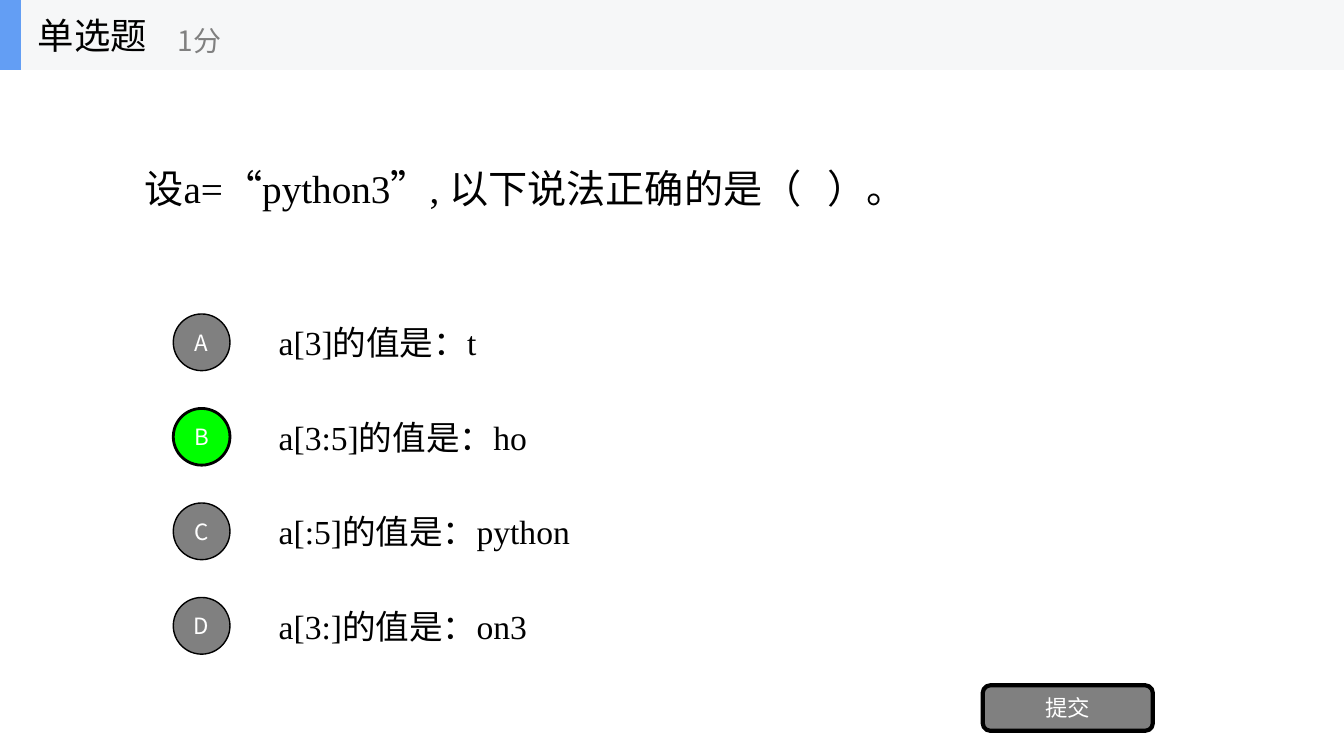
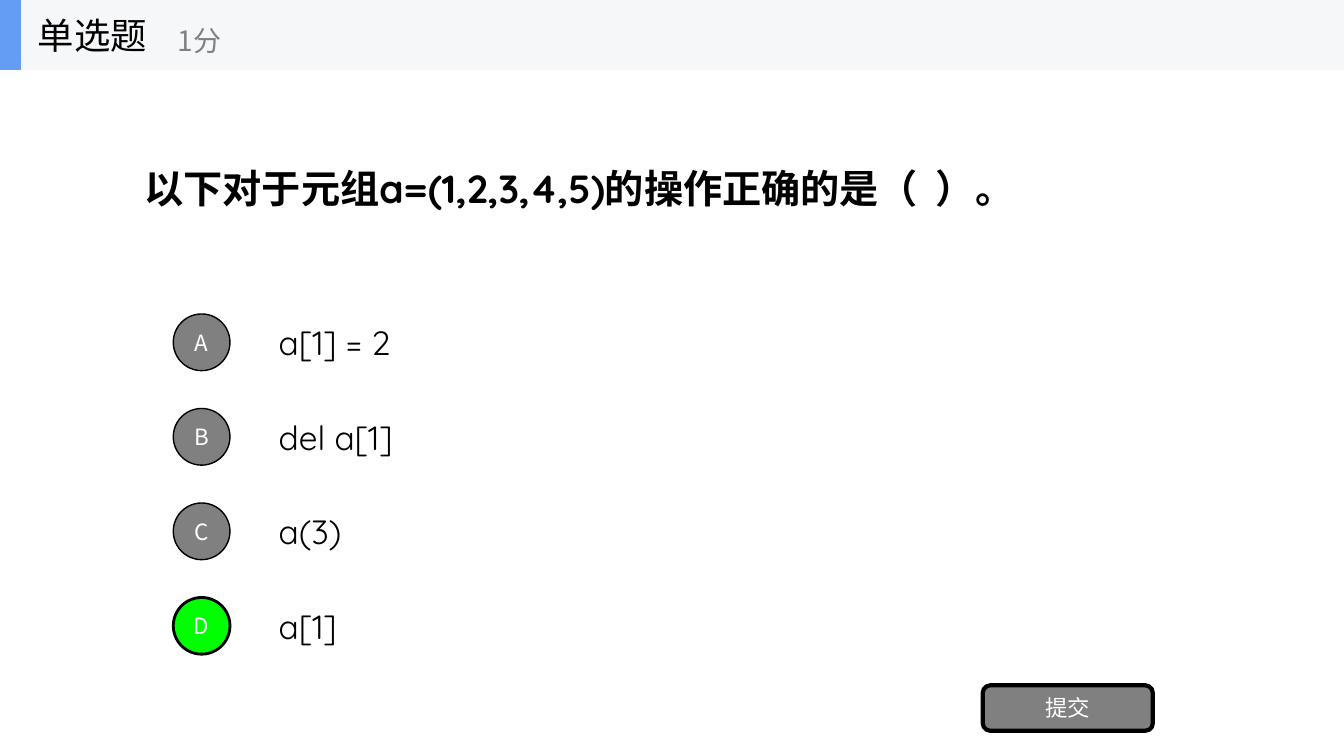
import pptx
import pptx.util
import pptx.dml.color
import pptx.enum.shapes
import pptx.enum.text
import pptx.oxml.ns
import lxml.etree
from dataclasses import dataclass

# Content
KIND, SCORE, SUBMIT = "单选题", "1分", "提交"
QUIZ = [
    {
        "ask": "设a=“python3”, 以下说法正确的是（   ）。",
        "picks": ["a[3]的值是：t", "a[3:5]的值是：ho",
                  "a[:5]的值是：python", "a[3:]的值是：on3"],
        "key": "B", "font": "Times New Roman", "bold": False,
    },
    {
        "ask": "以下对于元组a=(1,2,3,4,5)的操作正确的是（  ）。",
        "picks": ["a[1] = 2", "del a[1]", "a(3)", "a[1]"],
        "key": "D", "font": "Quicksand", "bold": True,
    },
]


# Theme
@dataclass(frozen=True)
class Theme:
    ink: str = "000000"
    white: str = "FFFFFF"
    gray: str = "808080"
    green: str = "00FF00"
    band: str = "F6F7F8"
    blue: str = "639EF4"
    font: str = "Noto Sans CJK SC"
    ask: int = 28
    head: int = 26
    pick: int = 24
    score: int = 20
    mark: int = 16


look = Theme()
Pt = pptx.util.Pt
Kind = pptx.enum.shapes.MSO_SHAPE
Align = pptx.enum.text.PP_ALIGN

# Layout in points
WIDE, HIGH = 960, 540
BAND = 50
FIRST, STEP = 244.5, 67.5     # centre of the first option, gap between centres
DOT, ROW = 40.5, 50


def tint(name):
    return pptx.dml.color.RGBColor.from_string(name)


def write(shape, text, size, color, font=look.font, bold=False,
          align=Align.LEFT):
    frame = shape.text_frame
    frame.word_wrap = True
    frame.auto_size = pptx.enum.text.MSO_AUTO_SIZE.NONE
    frame.vertical_anchor = pptx.enum.text.MSO_ANCHOR.MIDDLE
    para = frame.paragraphs[0]
    para.alignment = align
    run = para.add_run()
    run.text = text
    run.font.size = Pt(size)
    run.font.bold = bold
    run.font.color.rgb = tint(color)
    run.font.name = font
    east = lxml.etree.SubElement(run.font._element, pptx.oxml.ns.qn("a:ea"))
    east.set("typeface", look.font)


def place(shape, box):
    shape.left, shape.top, shape.width, shape.height = map(Pt, box)


def label(shapes, box, *words, **style):
    write(shapes.add_textbox(*map(Pt, box)), *words, **style)


def block(shapes, kind, box, fill, line=0):
    shape = shapes.add_shape(kind, *map(Pt, box))
    shape.shadow.inherit = False
    shape.fill.solid()
    shape.fill.fore_color.rgb = tint(fill)
    if line:
        shape.line.color.rgb = tint(look.ink)
        shape.line.width = Pt(line)
    else:
        shape.line.fill.background()
    return shape


def button(shapes, kind, box, fill, line, text):
    shape = block(shapes, kind, box, fill, line)
    frame = shape.text_frame
    frame.margin_left = frame.margin_right = 0
    frame.margin_top = frame.margin_bottom = 0
    write(shape, text, look.mark, look.white, align=Align.CENTER)


def header(slide):
    shapes = slide.shapes.add_group_shape().shapes
    block(shapes, Kind.RECTANGLE, (0, 0, WIDE, BAND), look.band)
    block(shapes, Kind.RECTANGLE, (0, 0, 15, BAND), look.blue)
    label(shapes, (20, 0, 150, BAND), KIND, look.head, look.ink)
    label(shapes, (120, 9, 180, 40), SCORE, look.score, look.gray)


def build(deck, item):
    slide = deck.slides.add_slide(deck.slide_layouts[5])
    shapes = slide.shapes

    # Question
    place(shapes.title, (96, BAND, 768, 168.5))
    write(shapes.title, item["ask"], look.ask, look.ink, item["font"],
          item["bold"])

    # Options, with the right one in green
    for num, (mark, text) in enumerate(zip("ABCD", item["picks"])):
        mid = FIRST + num * STEP
        label(shapes, (192, mid - ROW / 2, 672, ROW), text, look.pick,
              look.ink, font=item["font"])
        fill, line = (look.green, 2) if mark == item["key"] else (look.gray, 1)
        button(shapes, Kind.OVAL, (123.75, mid - DOT / 2, DOT, DOT),
               fill, line, mark)

    # Submit button and header
    button(shapes, Kind.ROUNDED_RECTANGLE, (702, 489.5, 121.5, 32.5),
           look.gray, 3, SUBMIT)
    header(slide)


deck = pptx.Presentation()
deck.slide_width, deck.slide_height = Pt(WIDE), Pt(HIGH)
for item in QUIZ:
    build(deck, item)
deck.save("out.pptx")
